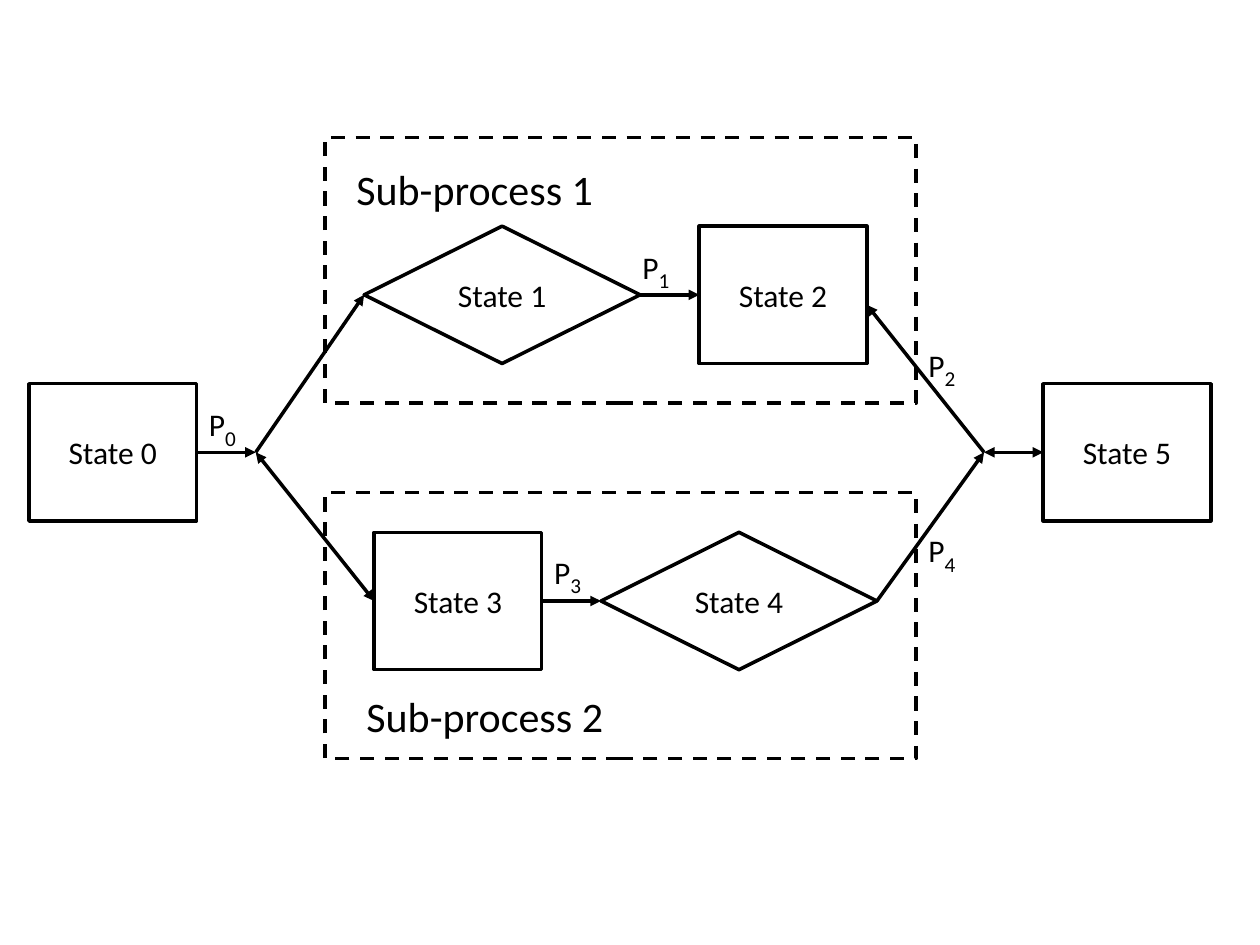
from dataclasses import dataclass

from lxml import etree
from pptx import Presentation
from pptx.dml.color import RGBColor
from pptx.enum.dml import MSO_LINE
from pptx.enum.shapes import MSO_CONNECTOR, MSO_SHAPE
from pptx.enum.text import MSO_ANCHOR, MSO_AUTO_SIZE, PP_ALIGN
from pptx.oxml.ns import qn
from pptx.util import Inches, Pt

RECT, DIAMOND = MSO_SHAPE.RECTANGLE, MSO_SHAPE.DIAMOND
STRAIGHT = MSO_CONNECTOR.STRAIGHT
DASH = MSO_LINE.DASH
MIDDLE, CENTER = MSO_ANCHOR.MIDDLE, PP_ALIGN.CENTER
FIT = MSO_AUTO_SIZE.SHAPE_TO_FIT_TEXT
LEFT, RIGHT = 1, 3


@dataclass(frozen=True)
class Theme:
    ink: RGBColor = RGBColor(0, 0, 0)
    paper: RGBColor = RGBColor(255, 255, 255)
    font: str = "Calibri"
    title: float = 24
    body: float = 18
    sub: float = 20.8
    line: float = 2


THEME = Theme()
WIDE, GEM, TALL = 1.33, 2.19, 1.09
TOP, MID, LOW = 2.34, 3.59, 4.77
FORK, JOIN = (2.03, MID), (7.81, MID)


def style(run, size):
    run.font.name = THEME.font
    run.font.size = Pt(size)
    run.font.color.rgb = THEME.ink


def stroke(line):
    line.color.rgb = THEME.ink
    line.width = Pt(THEME.line)


def add_block(slide, kind, left, top, width, height):
    block = slide.shapes.add_shape(
        kind, Inches(left), Inches(top), Inches(width), Inches(height))
    block.shadow.inherit = False
    block.fill.solid()
    block.fill.fore_color.rgb = THEME.paper
    stroke(block.line)
    return block


def add_frame(slide, top):
    frame = add_block(slide, RECT, 2.58, top, 4.69, 2.11)
    frame.line.dash_style = DASH


def add_state(slide, kind, name, left, axis):
    """Add a state whose vertical middle lies on axis."""
    width = GEM if kind == DIAMOND else WIDE
    state = add_block(slide, kind, left, axis - TALL / 2, width, TALL)
    frame = state.text_frame
    frame.vertical_anchor = MIDDLE
    para = frame.paragraphs[0]
    para.text = name
    para.alignment = CENTER
    style(para.runs[0], THEME.body)
    return state


def add_arrow(slide, start, end, both=False):
    """Join two ends, each a point or a (state, side) pair."""
    wire = slide.shapes.add_connector(STRAIGHT, 0, 0, 0, 0)
    if hasattr(start[0], "shape_id"):
        wire.begin_connect(*start)
    else:
        wire.begin_x, wire.begin_y = map(Inches, start)
    if hasattr(end[0], "shape_id"):
        wire.end_connect(*end)
    else:
        wire.end_x, wire.end_y = map(Inches, end)
    stroke(wire.line)
    line = wire.line._get_or_add_ln()
    for tag in ("a:headEnd", "a:tailEnd") if both else ("a:tailEnd",):
        etree.SubElement(line, qn(tag), type="triangle")
    etree.SubElement(wire._element.spPr, qn("a:effectLst"))


def add_text(slide, text, size, left, top, width, height, wrap):
    box = slide.shapes.add_textbox(
        Inches(left), Inches(top), Inches(width), Inches(height))
    frame = box.text_frame
    frame.word_wrap = wrap
    frame.auto_size = FIT
    para = frame.paragraphs[0]
    para.text = text
    style(para.runs[0], size)
    return para


def add_label(slide, index, left, top):
    """Add the letter P with its index as a subscript."""
    para = add_text(slide, "P", THEME.body, left, top, 0.42, 0.45, False)
    run = para.add_run()
    run.text = str(index)
    style(run, THEME.sub)
    run._r.get_or_add_rPr().set("baseline", "-25000")


def main():
    deck = Presentation()
    deck.slide_width, deck.slide_height = Inches(10), Inches(7.5)
    slide = deck.slides.add_slide(deck.slide_layouts[6])

    for top in (1.09, 3.91):
        add_frame(slide, top)

    plan = [(RECT, 0.23, MID), (DIAMOND, 2.89, TOP), (RECT, 5.55, TOP),
            (RECT, 2.97, LOW), (DIAMOND, 4.77, LOW), (RECT, 8.28, MID)]
    states = [add_state(slide, kind, f"State {i}", left, axis)
              for i, (kind, left, axis) in enumerate(plan)]

    add_arrow(slide, (states[0], RIGHT), FORK)
    add_arrow(slide, FORK, (states[1], LEFT))
    add_arrow(slide, (states[3], LEFT), FORK, both=True)
    add_arrow(slide, (states[3], RIGHT), (states[4], LEFT))
    add_arrow(slide, (states[1], RIGHT), (states[2], LEFT))
    add_arrow(slide, (states[4], RIGHT), JOIN)
    add_arrow(slide, JOIN, (6.88, 2.42))
    add_arrow(slide, JOIN, (states[5], LEFT), both=True)

    for i, (left, top) in enumerate([(2.73, 1.25), (2.81, 5.43)], 1):
        add_text(slide, f"Sub-process {i}", THEME.title,
                 left, top, 3.44, 0.51, True)

    spots = [(1.56, 3.13), (5, 1.88), (7.27, 2.66), (4.3, 4.3), (7.27, 4.13)]
    for i, (left, top) in enumerate(spots):
        add_label(slide, i, left, top)

    deck.save("out.pptx")


if __name__ == "__main__":
    main()
